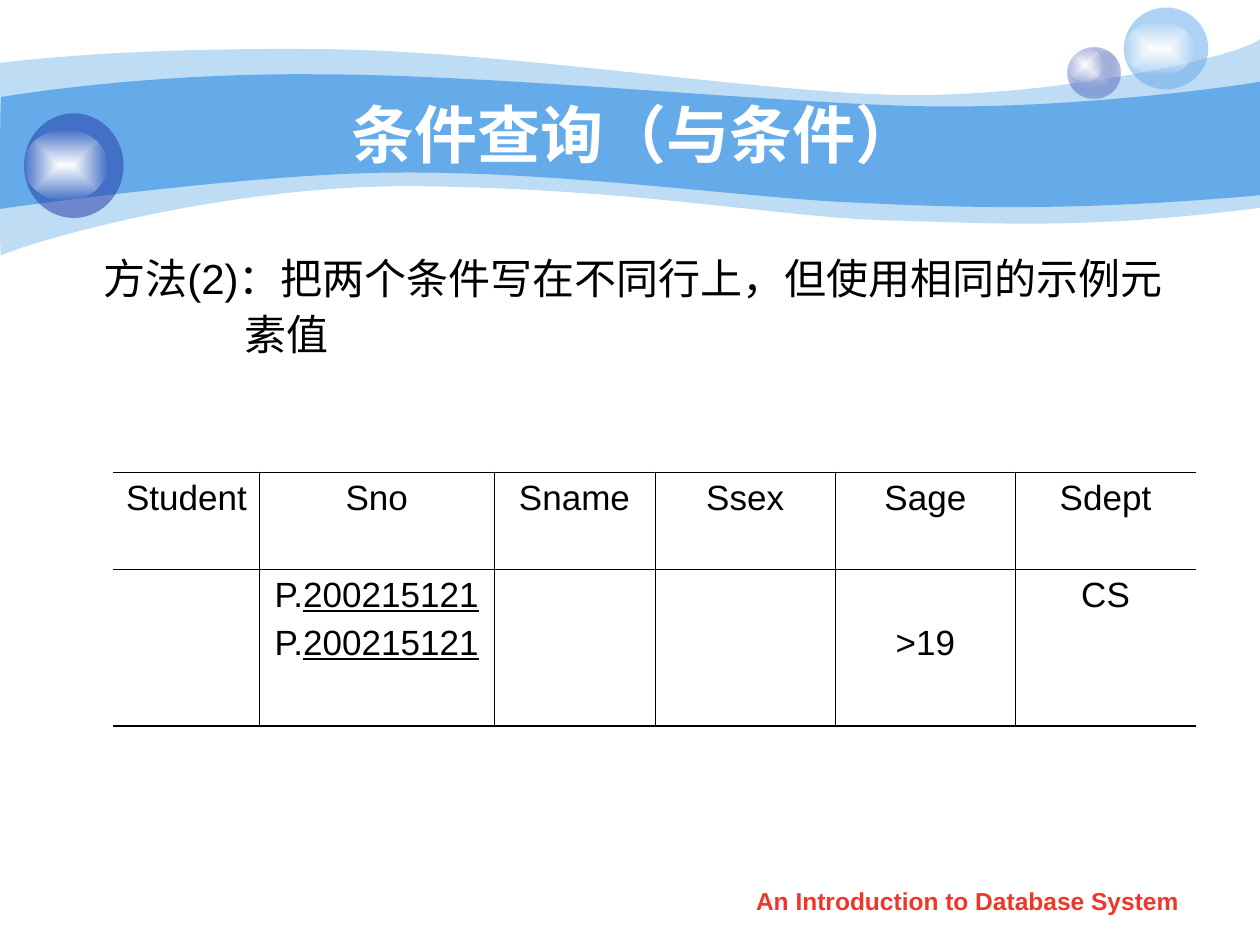
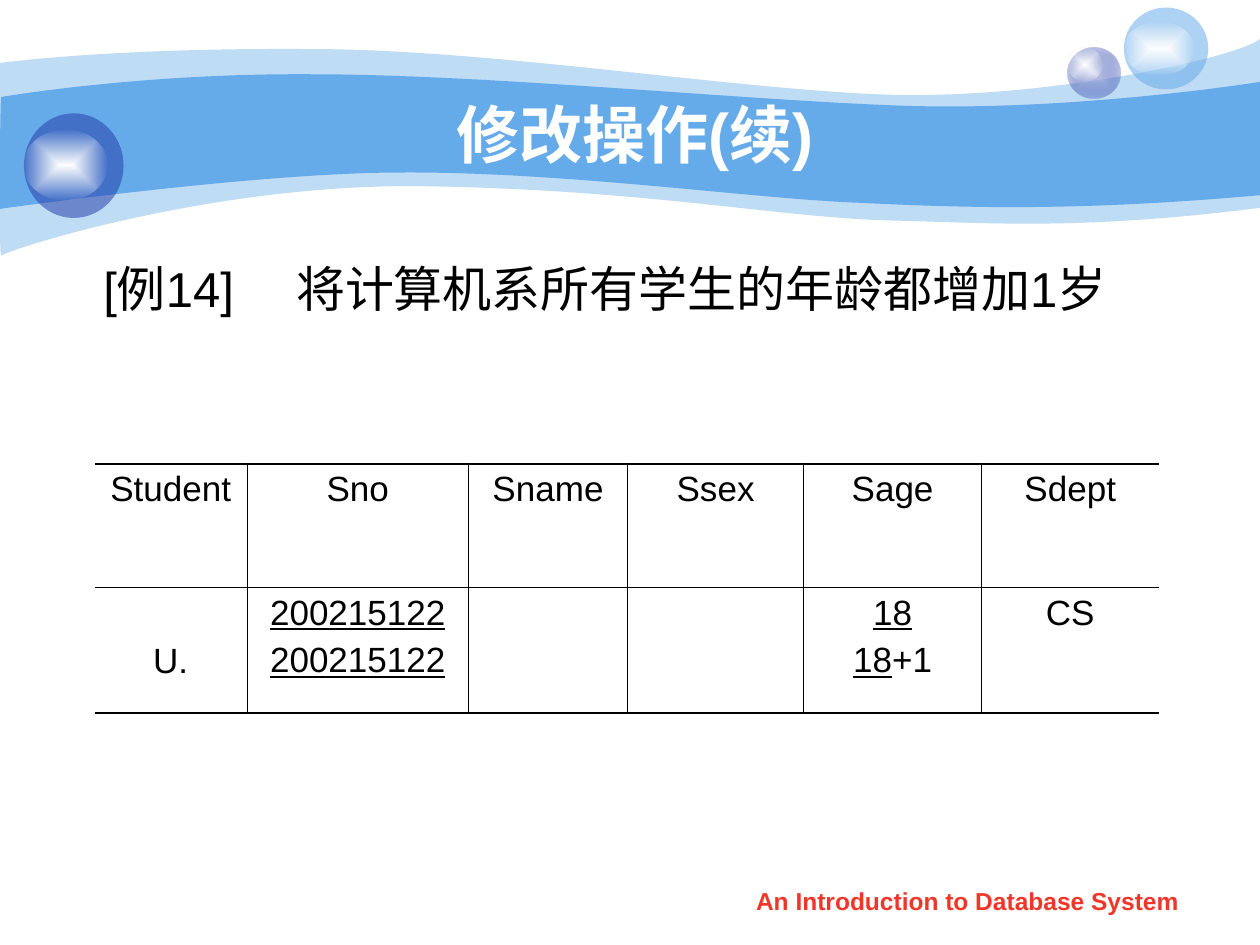
from lxml import etree
from pptx import Presentation, util as u
from pptx.dml.color import RGBColor
from pptx.enum import shapes, text
from pptx.oxml import parse_xml
from pptx.oxml.ns import nsdecls, qn

COLORS = {"sky": "65AAE9", "navy": "233DA9", "lilac": "C7CEE9",
          "white": "FFFFFF", "black": "000000", "red": "F03628"}
TITLE = {"size": u.Pt(36), "name": "Arial", "bold": True, "color": "white"}
FOOTER = {"size": u.Pt(14), "name": "Arial", "bold": True, "color": "red"}
CELL = {"size": u.Pt(20), "name": "Arial", "bold": False, "color": "black"}
CENTER = text.PP_ALIGN.CENTER
LEFT = text.PP_ALIGN.LEFT
TOP = text.MSO_ANCHOR.TOP
MIDDLE = text.MSO_ANCHOR.MIDDLE

WAVES = [
    ((-0.01, 0.31, 10.01, 1.77), [("sky", 41)], [
        (0, 0.5),
        (0.24, 0.47, 1.07, 0.38, 2.47, 0.39), (3.86, 0.39, 5.75, 0.7, 6.99, 0.75),
        (8.22, 0.8, 9.8, 0.47, 10, 0.31), (10, 1.65),
        (8.58, 1.83, 7.87, 1.77, 7.05, 1.75), (6.22, 1.73, 5.15, 1.51, 3.43, 1.48),
        (1.72, 1.44, 0.04, 1.99, 0.01, 2.03), (-0.01, 2.08, 0, 0.75, 0, 0.5)]),
    ((-0.02, 0.58, 10.02, 1.1), [("sky", 100)], [
        (0.01, 0.77),
        (0.02, 0.77, 1.1, 0.58, 2.48, 0.59), (3.86, 0.59, 5.95, 0.8, 7.18, 0.84),
        (8.41, 0.88, 9.76, 0.69, 10, 0.65), (10, 1.55),
        (8.53, 1.68, 7.65, 1.65, 6.82, 1.61), (5.99, 1.58, 4.47, 1.36, 3.17, 1.37),
        (2.03, 1.37, -0.02, 1.66, -0.01, 1.66), (0, 1.66, 0, 0.77, 0.01, 0.77)]),
]
GLOW = [("white", 100), ("white", 0)]
BUBBLES = [
    ((8.47, 0.38, 0.42, 0.4), [("lilac", 100), ("navy", 31)]),
    ((8.47, 0.38, 0.28, 0.27), GLOW),
    ((8.92, 0.06, 0.67, 0.65), [("sky", 53)]),
    ((8.92, 0.17, 0.56, 0.43), GLOW),
    ((0.19, 0.9, 0.79, 0.83), [("navy", 53)]),
    ((0.19, 1.03, 0.66, 0.56), GLOW),
]
HEADER = ["Student", "Sno", "Sname", "Ssex", "Sage", "Sdept"]
SLIDES = [
    {"title": "条件查询（与条件）",
     "body": [("方法(2)：把两个条件写在不同行上，但使用相同的示例元", 0), ("素值", 1.12)],
     "body_box": (0.5, 2, 9.15, 1.91), "size": 24, "spacing": 0.9,
     "table_at": (0.9, 3.75), "cols": [1.16, 1.86, 1.28, 1.43, 1.43, 1.43],
     "rows": [0.77, 1.24],
     "cells": {1: [[("P.", False), ("200215121", True)]] * 2,
               4: [[(">19", False)]], 5: [[("CS", False)]]},
     "second_line": 4},
    {"title": "修改操作(续)",
     "body": [("[例14]\t将计算机系所有学生的年龄都增加1岁", 0)],
     "body_box": (0.5, 2, 8.75, 1.44), "size": 28, "spacing": 1.0,
     "table_at": (0.75, 3.68), "cols": [1.21, 1.76, 1.26, 1.4, 1.41, 1.41],
     "rows": [0.98, 1],
     "cells": {0: [[("U.", False)]], 1: [[("200215122", True)]] * 2,
               4: [[("18", True)], [("18", True), ("+1", False)]],
               5: [[("CS", False)]]},
     "second_line": 0},
]


def paint(sp, stops):
    clrs = [f'<a:srgbClr val="{COLORS[name]}"><a:alpha val="{alpha * 1000}"/></a:srgbClr>'
            for name, alpha in stops]
    if len(clrs) == 1:
        xml = f'<a:solidFill {nsdecls("a")}>{clrs[0]}</a:solidFill>'
    else:
        xml = (f'<a:gradFill {nsdecls("a")} rotWithShape="1"><a:gsLst>'
               f'<a:gs pos="0">{clrs[0]}</a:gs><a:gs pos="100000">{clrs[1]}</a:gs></a:gsLst>'
               '<a:path path="rect"><a:fillToRect l="50000" t="50000" r="50000" b="50000"/>'
               '</a:path></a:gradFill>')
    sp.fill.background()
    spPr = sp._element.spPr
    spPr.replace(spPr.find(qn("a:noFill")), parse_xml(xml))
    sp.line.fill.background()
    sp.shadow.inherit = False


def write(tf, lines, fmt, align, before=0):
    tf.word_wrap = True
    for i, runs in enumerate(lines):
        p = tf.add_paragraph() if i else tf.paragraphs[0]
        p.alignment = align
        if i:
            p.space_before = u.Pt(before)
        for words, underline in runs:
            r = p.add_run()
            r.text = words
            for key, value in fmt.items():
                if key == "color":
                    r.font.color.rgb = RGBColor.from_string(COLORS[value])
                else:
                    setattr(r.font, key, value)
            if underline:
                r.font.underline = True


prs = Presentation()
prs.slide_width, prs.slide_height = u.Inches(10), u.Inches(7.5)

for data in SLIDES:
    s = prs.slides.add_slide(prs.slide_layouts[6])

    for box, stops, segments in WAVES:
        x, y, w, h = map(u.Inches, box)
        ff = s.shapes.build_freeform(x, y)
        ff.add_line_segments([(x + w, y), (x + w, y + h)], close=True)
        sp = ff.convert_to_shape()
        sp.left, sp.top, sp.width, sp.height = x, y, w, h
        outline = next(sp._element.iter(qn("a:path")))
        for child in list(outline):
            outline.remove(child)
        for i, seg in enumerate(segments):
            tag = "a:cubicBezTo" if len(seg) == 6 else "a:lnTo" if i else "a:moveTo"
            move = etree.SubElement(outline, qn(tag))
            for px, py in zip(seg[::2], seg[1::2]):
                etree.SubElement(move, qn("a:pt"), x=str(u.Inches(px) - x),
                                 y=str(u.Inches(py) - y))
        etree.SubElement(outline, qn("a:close"))
        paint(sp, stops)

    for box, stops in BUBBLES:
        paint(s.shapes.add_shape(shapes.MSO_SHAPE.OVAL, *map(u.Inches, box)), stops)

    for box, words, fmt, anchor in [
            ((5.71, 6.98, 3.94, 0.35), "An Introduction to Database System", FOOTER, TOP),
            ((1, 0.75, 8.08, 0.62), data["title"], TITLE, MIDDLE)]:
        tf = s.shapes.add_textbox(*map(u.Inches, box)).text_frame
        tf.vertical_anchor = anchor
        write(tf, [[(words, False)]], fmt, CENTER)

    tf = s.shapes.add_textbox(*map(u.Inches, data["body_box"])).text_frame
    tf.margin_left = u.Inches(0.32)
    write(tf, [[(words, False)] for words, _ in data["body"]],
          {**CELL, "size": u.Pt(data["size"])}, LEFT, 6)
    for p, (words, indent) in zip(tf.paragraphs, data["body"]):
        p.line_spacing = data["spacing"]
        pPr = p._p.get_or_add_pPr()
        pPr.set("marL", str(u.Inches(indent)))
        if "\t" in words:
            tabs = etree.SubElement(pPr, qn("a:tabLst"))
            etree.SubElement(tabs, qn("a:tab"), pos=str(u.Inches(1.53)), algn="l")

    cols, rows = data["cols"], data["rows"]
    size = (sum(cols), sum(rows))
    table = s.shapes.add_table(2, len(cols), *map(u.Inches, data["table_at"] + size)).table
    table.first_row = table.horz_banding = False
    for i, width in enumerate(cols):
        table.columns[i].width = u.Inches(width)
    for i, height in enumerate(rows):
        table.rows[i].height = u.Inches(height)
    for row in range(2):
        for col in range(len(cols)):
            cell = table.cell(row, col)
            lines = data["cells"].get(col, []) if row else [[(HEADER[col], False)]]
            write(cell.text_frame, lines, CELL, CENTER, 5)
            if row and col == data["second_line"]:
                cell.margin_top = u.Inches(0.43)
            edges = {"lnL": 0.45 if col else 0,
                     "lnR": 0.45 if col < len(cols) - 1 else 0,
                     "lnT": 0.45 if row else 1.08,
                     "lnB": 1.08 if row else 0.45}
            tcPr = cell._tc.get_or_add_tcPr()
            for tag, weight in edges.items():
                ln = etree.SubElement(tcPr, qn(f"a:{tag}"), w=str(u.Pt(weight)))
                if weight:
                    fill = etree.SubElement(ln, qn("a:solidFill"))
                    etree.SubElement(fill, qn("a:srgbClr"), val=COLORS["black"])
                else:
                    etree.SubElement(ln, qn("a:noFill"))
            cell.fill.background()

prs.save("out.pptx")
